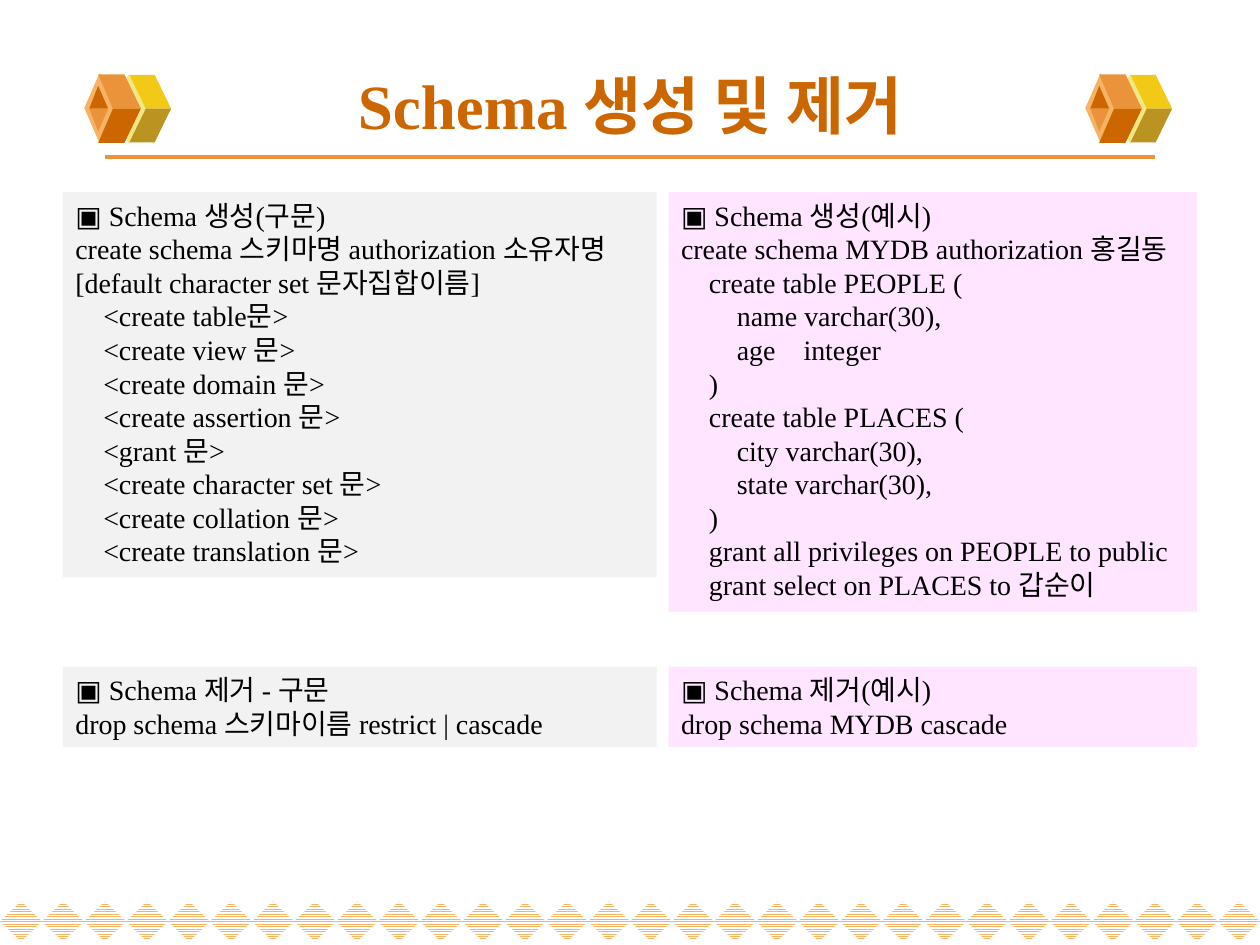
from typing import NamedTuple

from pptx import Presentation, util as u
from pptx.dml.color import RGBColor
from pptx.enum import dml, shapes, text
from pptx.oxml.ns import qn
from lxml import etree

FONT = "Times New Roman"
COLORS = {
    "orange": "CC6600", "mid_orange": "EB933B", "light_orange": "F5B363",
    "yellow": "F3C917", "olive": "BB9321", "cream": "F1E785",
    "syntax": "F2F2F2", "example": "FFE5FF", "black": "000000", "white": "FFFFFF",
}
WIDTH, HEIGHT = 25.4, 19.05
DIAMONDS = 30
ICON_TOP, ICON_MIDDLE = 1.48, 0.71
LEFT_X, LEFT_W = 1.27, 11.97
RIGHT_X, RIGHT_W = 13.48, 10.65
CREATE_Y, DROP_Y, DROP_H = 3.87, 13.44, 1.62


class Facet(NamedTuple):
    """Upper half of an icon face; the lower half is its mirror image."""
    points: tuple[tuple[float, float], ...]
    upper: str
    lower: str


class Panel(NamedTuple):
    x: float
    y: float
    w: float
    h: float
    color: str
    lines: str


RIGHT_FACET = Facet(((1.24, 0.71), (1.75, 0.71), (1.42, 0.03), (0.91, 0.03)), "yellow", "olive")
LEFT_FACETS = (
    Facet(((0.58, 0.71), (1.14, 0.71), (0.81, 0.02), (0.28, 0.02)), "mid_orange", "orange"),
    Facet(((0.28, 0.25), (0.10, 0.71), (0.48, 0.71)), "orange", "mid_orange"),
)

PANELS = (
    Panel(LEFT_X, CREATE_Y, LEFT_W, 7.77, "syntax", """\
▣ Schema 생성(구문)
create schema 스키마명 authorization 소유자명
[default character set 문자집합이름]
    <create table문>
    <create view 문>
    <create domain 문>
    <create assertion 문>
    <grant 문>
    <create character set 문>
    <create collation 문>
    <create translation 문>"""),
    Panel(RIGHT_X, CREATE_Y, RIGHT_W, 8.46, "example", """\
▣ Schema 생성(예시)
create schema MYDB authorization 홍길동
    create table PEOPLE (
        name varchar(30),
        age    integer
    )
    create table PLACES (
        city varchar(30),
        state varchar(30),
    )
    grant all privileges on PEOPLE to public
    grant select on PLACES to 갑순이"""),
    Panel(LEFT_X, DROP_Y, LEFT_W, DROP_H, "syntax", """\
▣ Schema 제거 - 구문
drop schema 스키마이름 restrict | cascade"""),
    Panel(RIGHT_X, DROP_Y, RIGHT_W, DROP_H, "example", """\
▣ Schema 제거(예시)
drop schema MYDB cascade"""),
)


def rgb(name: str) -> RGBColor:
    return RGBColor.from_string(COLORS[name])


def paint(sp, color: str) -> None:
    sp.shadow.inherit = False
    sp.fill.solid()
    sp.fill.fore_color.rgb = rgb(color)
    sp.line.fill.background()


def add_preset(s, kind, x: float, y: float, w: float, h: float, color: str):
    sp = s.shapes.add_shape(kind, u.Cm(x), u.Cm(y), u.Cm(w), u.Cm(h))
    paint(sp, color)
    return sp


def add_run(p, content: str, size: int, color: str, bold: bool = False) -> None:
    r = p.add_run()
    r.text = content
    r.font.name, r.font.size, r.font.bold = FONT, u.Pt(size), bold
    r.font.color.rgb = rgb(color)


def add_facet(s, x: float, facet: Facet) -> None:
    mirrored = [(px, 2 * ICON_MIDDLE - py) for px, py in facet.points]
    for points, color in ((facet.points, facet.upper), (mirrored, facet.lower)):
        corners = [(u.Cm(x + px), u.Cm(ICON_TOP + py)) for px, py in points]
        builder = s.shapes.build_freeform(*corners[0])
        builder.add_line_segments(corners[1:], close=True)
        paint(builder.convert_to_shape(), color)


def add_icon(s, x: float) -> None:
    diamond = shapes.MSO_SHAPE.DIAMOND
    add_preset(s, diamond, x + 0.48, ICON_TOP + 0.02, 0.84, 1.4, "cream")
    add_facet(s, x, RIGHT_FACET)
    add_preset(s, diamond, x, ICON_TOP, 0.61, 1.4, "light_orange")
    for facet in LEFT_FACETS:
        add_facet(s, x, facet)


def add_panel(s, panel: Panel) -> None:
    sp = add_preset(s, shapes.MSO_SHAPE.RECTANGLE, *panel[:5])
    tf = sp.text_frame
    tf.word_wrap = True
    tf.auto_size = text.MSO_AUTO_SIZE.SHAPE_TO_FIT_TEXT
    tf.vertical_anchor = text.MSO_ANCHOR.TOP
    for i, line in enumerate(panel.lines.splitlines()):
        p = tf.add_paragraph() if i else tf.paragraphs[0]
        p.alignment = text.PP_ALIGN.LEFT
        add_run(p, line, 16, "black")


def main() -> None:
    prs = Presentation()
    prs.slide_width, prs.slide_height = u.Cm(WIDTH), u.Cm(HEIGHT)
    s = prs.slides.add_slide(prs.slide_layouts[6])

    # Striped diamond border
    step = WIDTH / DIAMONDS
    for i in range(DIAMONDS):
        sp = add_preset(s, shapes.MSO_SHAPE.DIAMOND, i * step, 18.17, step, 0.81, "light_orange")
        sp.fill.patterned()
        sp.fill.pattern = dml.MSO_PATTERN.NARROW_HORIZONTAL
        sp.fill.fore_color.rgb = rgb("light_orange")
        sp.fill.back_color.rgb = rgb("white")

    # Title rule and icons
    rule = s.shapes.add_connector(shapes.MSO_CONNECTOR.STRAIGHT,
                                  u.Cm(2.12), u.Cm(3.17), u.Cm(23.28), u.Cm(3.17))
    rule.line.color.rgb = rgb("mid_orange")
    rule.line.width = u.Pt(2.25)
    etree.SubElement(rule._element.spPr, qn("a:effectLst"))
    for x in (1.7, 21.88):
        add_icon(s, x)

    # Title
    title = s.shapes.add_textbox(u.Cm(1.27), u.Cm(1.14), u.Cm(22.86), u.Cm(1.93))
    tf = title.text_frame
    tf.word_wrap = True
    tf.vertical_anchor = text.MSO_ANCHOR.MIDDLE
    p = tf.paragraphs[0]
    p.alignment = text.PP_ALIGN.CENTER
    add_run(p, "Schema 생성 및 제거", 36, "orange", bold=True)

    # Syntax and example panels
    for panel in PANELS:
        add_panel(s, panel)

    prs.save("out.pptx")


if __name__ == "__main__":
    main()
